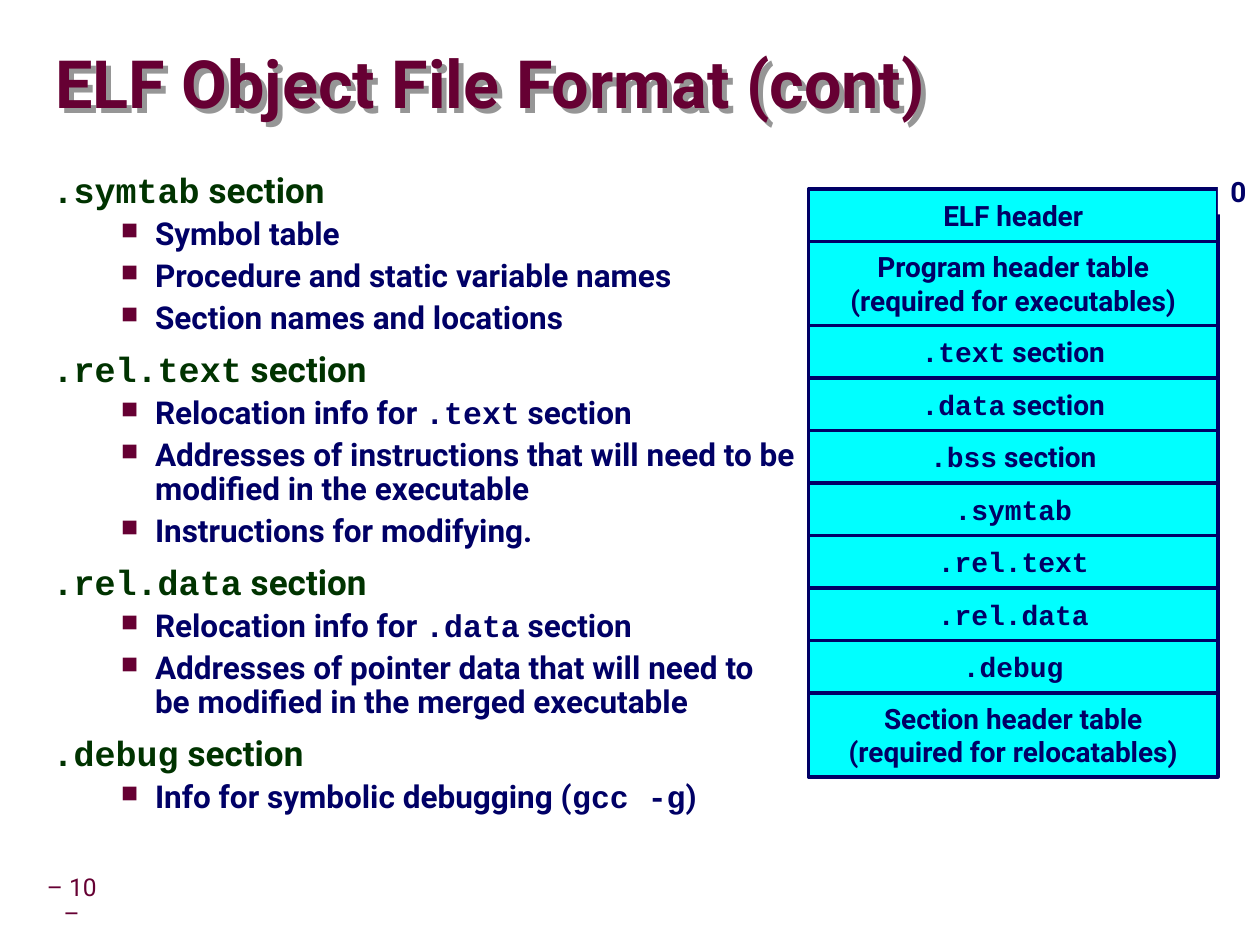
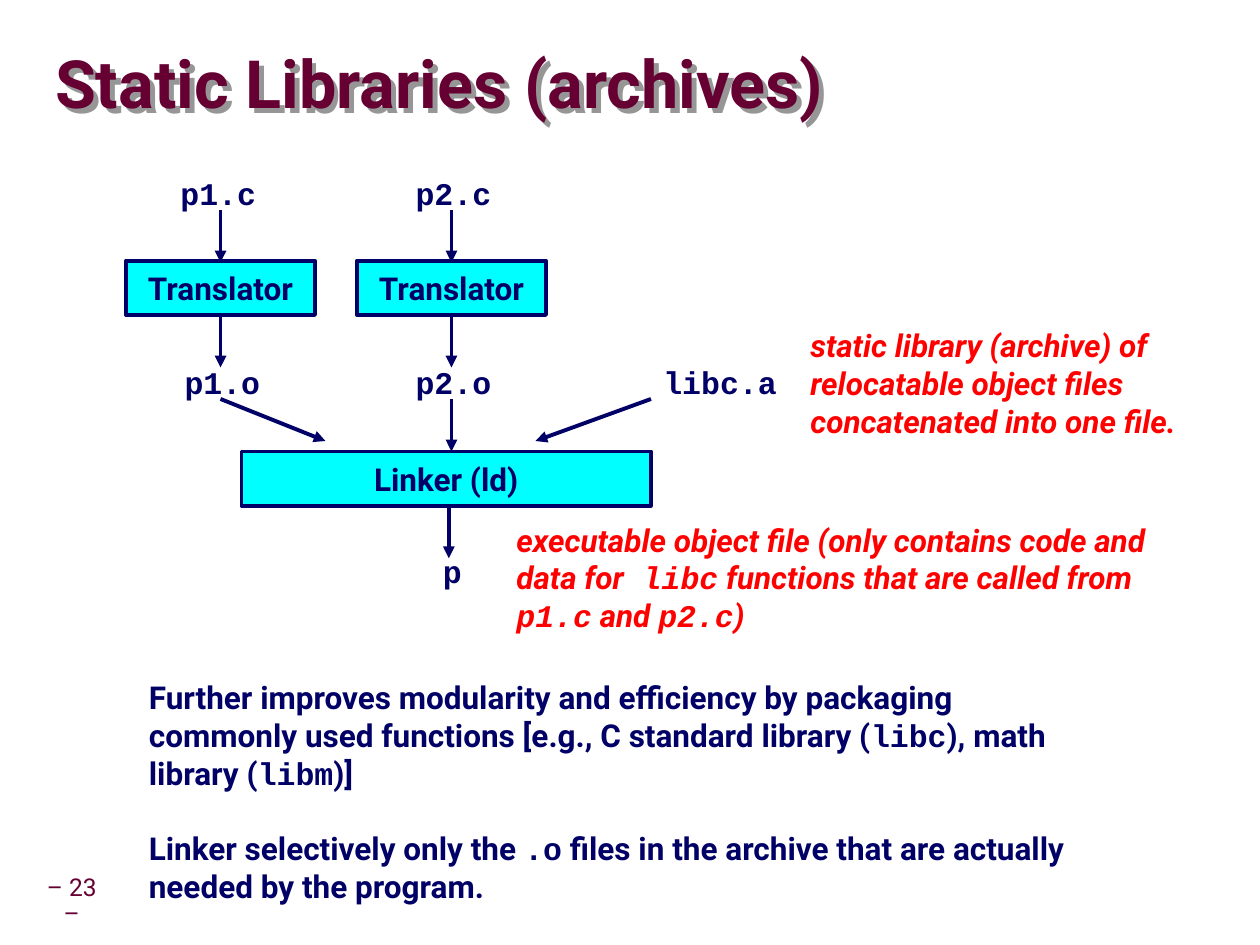
from itertools import cycle

from lxml.etree import SubElement
from pptx import Presentation
from pptx.dml.color import RGBColor
from pptx.enum.shapes import MSO_CONNECTOR as Connector, MSO_SHAPE as Shape
from pptx.enum.text import MSO_ANCHOR as Anchor, PP_ALIGN as Align
from pptx.oxml.ns import qn
from pptx.util import Pt

NAVY, MAROON, GREEN, CYAN, RED, WHITE, GRAY = (
    "000066", "660033", "003300", "00FFFF", "FF0000", "FFFFFF", "969696")
SANS, MONO = "Roboto", "Courier New"
TITLE = dict(size=Pt(38), bold=True)
FOOTER = dict(size=Pt(14), bold=False)
HEADING = dict(size=Pt(20), bold=True)
NORMAL = dict(size=Pt(18), bold=True)
SMALL = dict(size=Pt(16), bold=True)
NOTE = dict(NORMAL, italic=True)
MARGINS = ("margin_left", "margin_top", "margin_right", "margin_bottom")

SECTIONS = [
    ("`.symtab` section", [
        "Symbol table",
        "Procedure and static variable names",
        "Section names and locations"]),
    ("`.rel.text` section", [
        "Relocation info for `.text` section",
        "Addresses of instructions that will need to be modified in the executable",
        "Instructions for modifying."]),
    ("`.rel.data` section", [
        "Relocation info for `.data` section",
        "Addresses of pointer data that will need to be modified in the merged executable"]),
    ("`.debug` section", ["Info for symbolic debugging (`gcc -g`)"]),
]
FILE_PARTS = [
    ["ELF header"],
    ["Program header table", "(required for executables)"],
    ["`.text` section"], ["`.data` section"], ["`.bss` section"],
    ["`.symtab`"], ["`.rel.text`"], ["`.rel.data`"], ["`.debug`"],
    ["Section header table", "(required for relocatables)"],
]


def color(value):
    """Turn a hex string into a colour."""
    return RGBColor.from_string(value)


def assign(target, values):
    """Set each named attribute of the target."""
    for name, value in values.items():
        setattr(target, name, value)


def write(para, text, ink, font, **layout):
    """Fill a paragraph, with the parts between backticks in the code font."""
    assign(para, layout)
    for part, face in zip(text.split("`"), cycle((SANS, MONO))):
        if part:
            span = para.add_run()
            span.text = part
            assign(span.font, dict(font, name=face))
            span.font.color.rgb = color(ink)


def write_lines(frame, lines, ink, font, **layout):
    """Write each line as a paragraph of the frame."""
    for index, line in enumerate(lines):
        para = frame.add_paragraph() if index else frame.paragraphs[0]
        write(para, line, ink, font, **layout)


def text_box(page, box, lines, ink, font, frame_format=None, **layout):
    """Place a text box with one paragraph for each line."""
    shape = page.shapes.add_textbox(*map(Pt, box))
    assign(shape.text_frame, dict(dict(word_wrap=True), **(frame_format or {})))
    write_lines(shape.text_frame, lines, ink, font, **layout)
    return shape


def block(page, box, lines, font, fill=CYAN, border=2.25, align=Align.CENTER, wrap=True,
          anchor=Anchor.MIDDLE):
    """Place a filled rectangle with text."""
    shape = page.shapes.add_shape(Shape.RECTANGLE, *map(Pt, box))
    shape.shadow.inherit = False
    shape.fill.solid()
    shape.fill.fore_color.rgb = color(fill)
    if border:
        shape.line.width = Pt(border)
        shape.line.color.rgb = color(NAVY)
    else:
        shape.line.fill.background()
    assign(shape.text_frame, dict(word_wrap=wrap, vertical_anchor=anchor))
    write_lines(shape.text_frame, lines, NAVY, font, alignment=align)


def arrow(page, *ends):
    """Draw an arrow from the first point to the second."""
    connector = page.shapes.add_connector(Connector.STRAIGHT, *map(Pt, ends))
    connector.line.width = Pt(2.25)
    connector.line.color.rgb = color(NAVY)
    SubElement(connector.line._get_or_add_ln(), qn("a:tailEnd"), type="triangle")
    SubElement(connector._element.spPr, qn("a:effectLst"))


def letter_shadow(shape):
    """Cast a grey shadow from the letters of an unfilled box."""
    effects = SubElement(shape._element.spPr, qn("a:effectLst"))
    shadow = SubElement(effects, qn("a:outerShdw"), dist=str(Pt(4)), dir="2700000",
                        algn="tl", rotWithShape="0")
    SubElement(shadow, qn("a:srgbClr"), val=GRAY)


def indent(para, left, first):
    """Set the left margin and first-line indent of a paragraph."""
    props = para._p.get_or_add_pPr()
    props.set("marL", str(Pt(left)))
    props.set("indent", str(Pt(first)))
    return props


def bullet(para):
    """Give a paragraph a hanging square bullet."""
    props = indent(para, 58.5, -19.5)
    tint = SubElement(props, qn("a:buClr"))
    SubElement(tint, qn("a:srgbClr"), val=MAROON)
    SubElement(props, qn("a:buSzPct"), val="75000")
    SubElement(props, qn("a:buChar"), char="■")


def base_page(deck, title, number):
    """Add a page with its title and page number."""
    page = deck.slides.add_slide(deck.slide_layouts[6])
    text_box(page, (17.3, 504, 47.5, 22.3), [f"– {number} –"], MAROON, FOOTER,
             dict(dict.fromkeys(MARGINS, Pt(3.6)), vertical_anchor=Anchor.MIDDLE),
             alignment=Align.CENTER, line_spacing=0.9)
    heading = text_box(page, (31.5, 19.5, 686, 61), [title], MAROON, TITLE,
                       dict(dict.fromkeys(MARGINS, 0), vertical_anchor=Anchor.MIDDLE),
                       line_spacing=0.87)
    letter_shadow(heading)
    return page


def section_list(page, box):
    """List the sections with their bulleted details."""
    frame = page.shapes.add_textbox(*map(Pt, box)).text_frame
    frame.word_wrap = True
    for index, (heading, details) in enumerate(SECTIONS):
        para = frame.add_paragraph() if index else frame.paragraphs[0]
        write(para, heading, GREEN, HEADING, line_spacing=0.85, space_before=Pt(10))
        indent(para, 30, -30)
        for detail in details:
            para = frame.add_paragraph()
            write(para, detail, NAVY, NORMAL, level=1, line_spacing=0.9, space_before=Pt(4.5))
            bullet(para)


def file_layout(page, left, top, width):
    """Stack the parts of the object file, taller for two lines."""
    start = top
    for lines in FILE_PARTS:
        height = 12 + 18 * len(lines)
        block(page, (left, top, width, height), lines, SMALL, border=2, wrap=False)
        top += height
    block(page, (left + width, start - 12, 23, 26.6), ["0"], SMALL, fill=WHITE, border=0,
          align=Align.LEFT, wrap=False, anchor=Anchor.TOP)


def file_label(page, left, top, name):
    """Place a file name in a box that fits its letters."""
    text_box(page, (left, top, 10.8 * len(name) + 14.4, 28.8), [f"`{name}`"], NAVY, NORMAL,
             dict(word_wrap=False))


def link_diagram(page, left, top):
    """Draw the way from source files to the executable."""
    step, drop = 132, 30
    for index, source_shift in enumerate((24, 26.4)):
        start = left + index * step
        middle = start + 54
        file_label(page, start + source_shift, top, f"p{index + 1}.c")
        file_label(page, start + 26.4, top + 108, f"p{index + 1}.o")
        block(page, (start, top + 53, 108, 31), ["Translator"], NORMAL)
        for fall in (24, 84):
            arrow(page, middle, top + fall, middle, top + fall + drop)
    file_label(page, left + 300, top + 108, "libc.a")
    for begin, end, fall in ((54, 114, 24), (186, 186, drop), (300, 234, 24)):
        arrow(page, left + begin, top + 132, left + end, top + 132 + fall)
    block(page, (left + 66, top + 162, 234, 31), ["Linker (ld)"], NORMAL)
    file_label(page, left + 174, top + 216, "p")
    arrow(page, left + 184.5, top + 193, left + 184.5, top + 193 + drop)


def format_page(deck):
    """Build the page on the object file format."""
    page = base_page(deck, "ELF Object File Format (cont)", 10)
    section_list(page, (23, 96.5, 439, 411))
    file_layout(page, 462, 108, 234)


def library_page(deck):
    """Build the page on static libraries."""
    page = base_page(deck, "Static Libraries (archives)", 23)
    link_diagram(page, 72, 96)
    text_box(page, (456, 183, 252, 72), [
        "static library (archive) of relocatable object files concatenated into one file."],
        RED, NOTE)
    text_box(page, (288, 294, 384, 72), [
        "executable object file (only contains code and data for` libc` functions "
        "that are called from `p1.c` and `p2.c`)"], RED, NOTE)
    summary = text_box(page, (78, 384, 540, 137), [
        "Further improves modularity and efficiency by packaging commonly used functions "
        "[e.g., C standard library (`libc`), math library (`libm`)]",
        "Linker selectively only the `.o` files in the archive that are actually "
        "needed by the program."], NAVY, NORMAL)
    summary.text_frame.paragraphs[1].space_before = Pt(21.5)


def main():
    """Build and save the deck."""
    deck = Presentation()
    assign(deck, dict(slide_width=Pt(720), slide_height=Pt(540)))
    format_page(deck)
    library_page(deck)
    deck.save("out.pptx")


if __name__ == "__main__":
    main()
